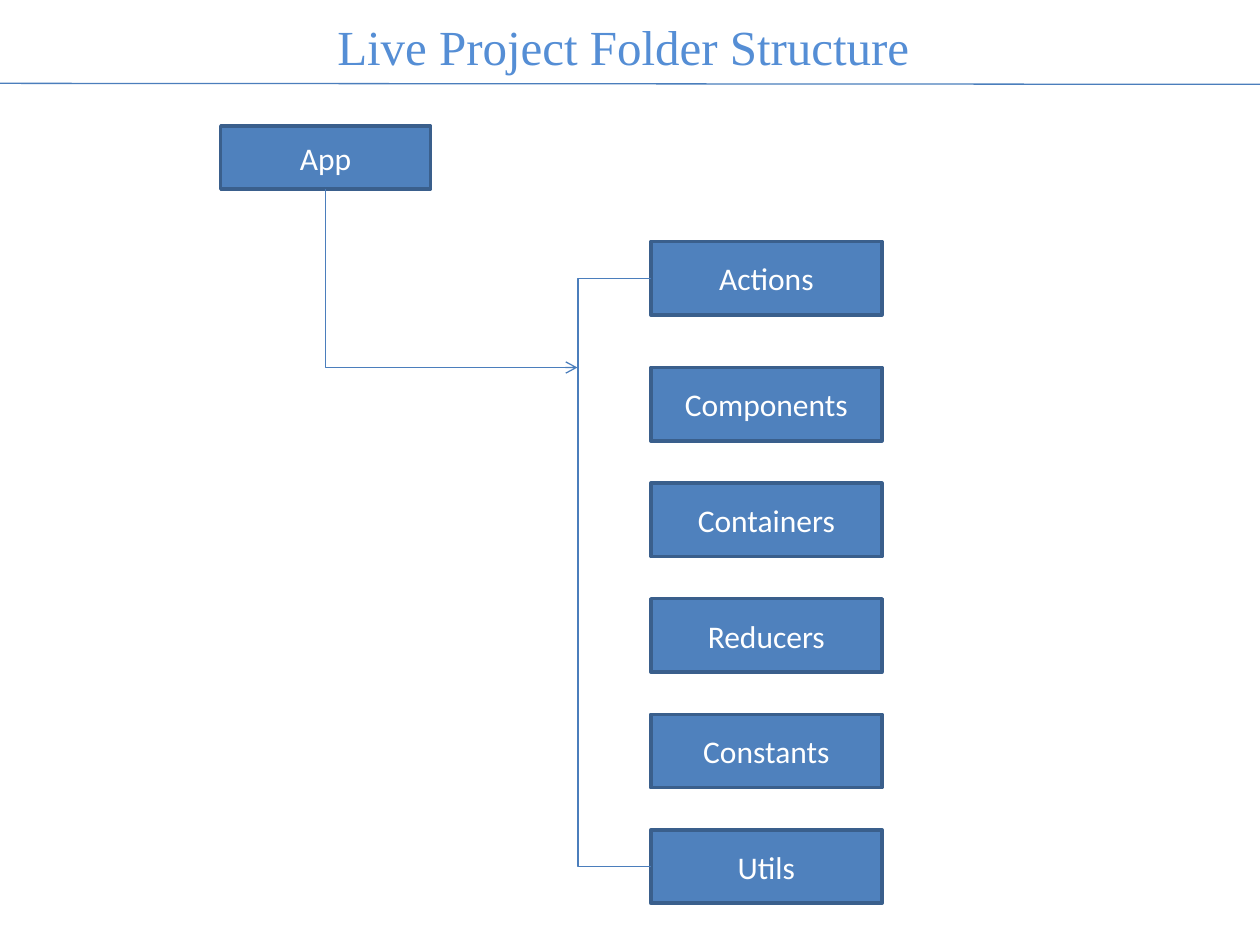
from dataclasses import dataclass

import pptx
import pptx.dml.color
import pptx.enum.shapes
import pptx.enum.text
import pptx.oxml
import pptx.oxml.ns
import pptx.util
from pptx.util import Cm


@dataclass(frozen=True)
class Theme:
    box_fill: str = "4F81BD"
    box_line: str = "3A5F8C"
    box_text: str = "FFFFFF"
    title_text: str = "558ED5"
    connector: str = "4B7EBC"
    box_font: str = "Calibri"
    title_font: str = "Times New Roman"
    box_size: float = 18
    title_size: float = 28
    box_line_width: float = 2
    connector_width: float = 0.75


@dataclass(frozen=True)
class Box:
    """A labelled folder; lengths in centimetres."""
    label: str
    left: float
    top: float
    width: float
    height: float

    @property
    def middle_x(self) -> float:
        return self.left + self.width / 2

    @property
    def middle_y(self) -> float:
        return self.top + self.height / 2

    @property
    def bottom(self) -> float:
        return self.top + self.height


THEME = Theme()
BOTTOM, LEFT = 2, 1
FOLDER_LEFT, FOLDER_WIDTH, FOLDER_HEIGHT = 13.12, 4.66, 1.48
SPINE_X = 11.64
ARROW_Y = 7.41
LIST_TOP, LIST_STEP = 7.41, 2.33

APP = Box("App", 4.45, 2.54, 4.23, 1.27)
ACTIONS = Box("Actions", FOLDER_LEFT, 4.87, FOLDER_WIDTH, FOLDER_HEIGHT)
OTHER_FOLDERS = [
    Box(label, FOLDER_LEFT, LIST_TOP + row * LIST_STEP, FOLDER_WIDTH, FOLDER_HEIGHT)
    for row, label in enumerate(["Components", "Containers", "Reducers", "Constants", "Utils"])
]


def rgb(value: str) -> pptx.dml.color.RGBColor:
    return pptx.dml.color.RGBColor.from_string(value)


def style_font(paragraph, name: str, size: float, color: str) -> None:
    paragraph.font.name = name
    paragraph.font.size = pptx.util.Pt(size)
    paragraph.font.color.rgb = rgb(color)


def add_box(slide, box: Box):
    shape = slide.shapes.add_shape(
        pptx.enum.shapes.MSO_SHAPE.RECTANGLE,
        Cm(box.left), Cm(box.top), Cm(box.width), Cm(box.height))
    shape.shadow.inherit = False
    shape.fill.solid()
    shape.fill.fore_color.rgb = rgb(THEME.box_fill)
    shape.line.color.rgb = rgb(THEME.box_line)
    shape.line.width = pptx.util.Pt(THEME.box_line_width)
    shape.text_frame.vertical_anchor = pptx.enum.text.MSO_ANCHOR.MIDDLE
    paragraph = shape.text_frame.paragraphs[0]
    paragraph.text = box.label
    paragraph.alignment = pptx.enum.text.PP_ALIGN.CENTER
    style_font(paragraph, THEME.box_font, THEME.box_size, THEME.box_text)
    return shape


def add_title(slide, text: str) -> None:
    text_box = slide.shapes.add_textbox(Cm(6.55), Cm(0.2), Cm(12.17), Cm(1.45))
    text_box.text_frame.word_wrap = False
    text_box.text_frame.auto_size = pptx.enum.text.MSO_AUTO_SIZE.SHAPE_TO_FIT_TEXT
    paragraph = text_box.text_frame.paragraphs[0]
    paragraph.text = text
    style_font(paragraph, THEME.title_font, THEME.title_size, THEME.title_text)


def add_connector(slide, kind, start: tuple[float, float], end: tuple[float, float]):
    connector = slide.shapes.add_connector(
        kind, Cm(start[0]), Cm(start[1]), Cm(end[0]), Cm(end[1]))
    connector.line.color.rgb = rgb(THEME.connector)
    connector.line.width = pptx.util.Pt(THEME.connector_width)
    pptx.oxml.ns.qn("a:effectLst")
    connector._element.spPr.append(
        pptx.oxml.parse_xml(f"<a:effectLst {pptx.oxml.ns.nsdecls('a')}/>"))
    return connector


def add_bracket(slide, first_shape, last_shape) -> None:
    """Join the left sides of two boxes by a line running along SPINE_X."""
    sliver = 0.01  # the bend is a share of the width, which must not be zero
    connector = add_connector(
        slide, pptx.enum.shapes.MSO_CONNECTOR.ELBOW,
        (FOLDER_LEFT, ACTIONS.middle_y), (FOLDER_LEFT, OTHER_FOLDERS[-1].middle_y))
    connector.begin_connect(first_shape, LEFT)
    connector.end_connect(last_shape, LEFT)
    connector.width = Cm(sliver)
    transform = connector._element.spPr.find(pptx.oxml.ns.qn("a:xfrm"))
    transform.set("rot", "10800000")
    transform.set("flipV", "1")
    bend = round((FOLDER_LEFT - SPINE_X) / sliver * 100000)
    geometry = connector._element.spPr.find(pptx.oxml.ns.qn("a:prstGeom"))
    geometry.find(pptx.oxml.ns.qn("a:avLst")).append(pptx.oxml.parse_xml(
        f'<a:gd {pptx.oxml.ns.nsdecls("a")} name="adj1" fmla="val {bend}"/>'))


def add_corner_arrow(slide, app_shape) -> None:
    """Run down from the App box, then right to the bracket."""
    connector = add_connector(
        slide, pptx.enum.shapes.MSO_CONNECTOR.ELBOW,
        (APP.middle_x, APP.bottom), (SPINE_X, ARROW_Y))
    connector.begin_connect(app_shape, BOTTOM)
    across, down = SPINE_X - APP.middle_x, ARROW_Y - APP.bottom
    # The frame is turned a quarter, so its sides swap about the same centre.
    connector.left = Cm(APP.middle_x + (across - down) / 2)
    connector.top = Cm(APP.bottom + (down - across) / 2)
    connector.width, connector.height = Cm(down), Cm(across)
    properties = connector._element.spPr
    properties.find(pptx.oxml.ns.qn("a:prstGeom")).set("prst", "bentConnector2")
    transform = properties.find(pptx.oxml.ns.qn("a:xfrm"))
    transform.set("rot", "16200000")
    transform.set("flipH", "1")
    properties.find(pptx.oxml.ns.qn("a:ln")).append(pptx.oxml.parse_xml(
        f'<a:tailEnd {pptx.oxml.ns.nsdecls("a")} type="arrow"/>'))


def main() -> None:
    presentation = pptx.Presentation()
    presentation.slide_width, presentation.slide_height = Cm(25.4), Cm(19.05)
    slide = presentation.slides.add_slide(presentation.slide_layouts[6])

    folder_shapes = [add_box(slide, box) for box in [ACTIONS, *OTHER_FOLDERS]]
    app_shape = add_box(slide, APP)
    add_title(slide, "Live Project Folder Structure")
    add_connector(slide, pptx.enum.shapes.MSO_CONNECTOR.STRAIGHT, (0, 1.68), (25.4, 1.7))
    add_bracket(slide, folder_shapes[0], folder_shapes[-1])
    add_corner_arrow(slide, app_shape)
    presentation.save("out.pptx")


if __name__ == "__main__":
    main()
